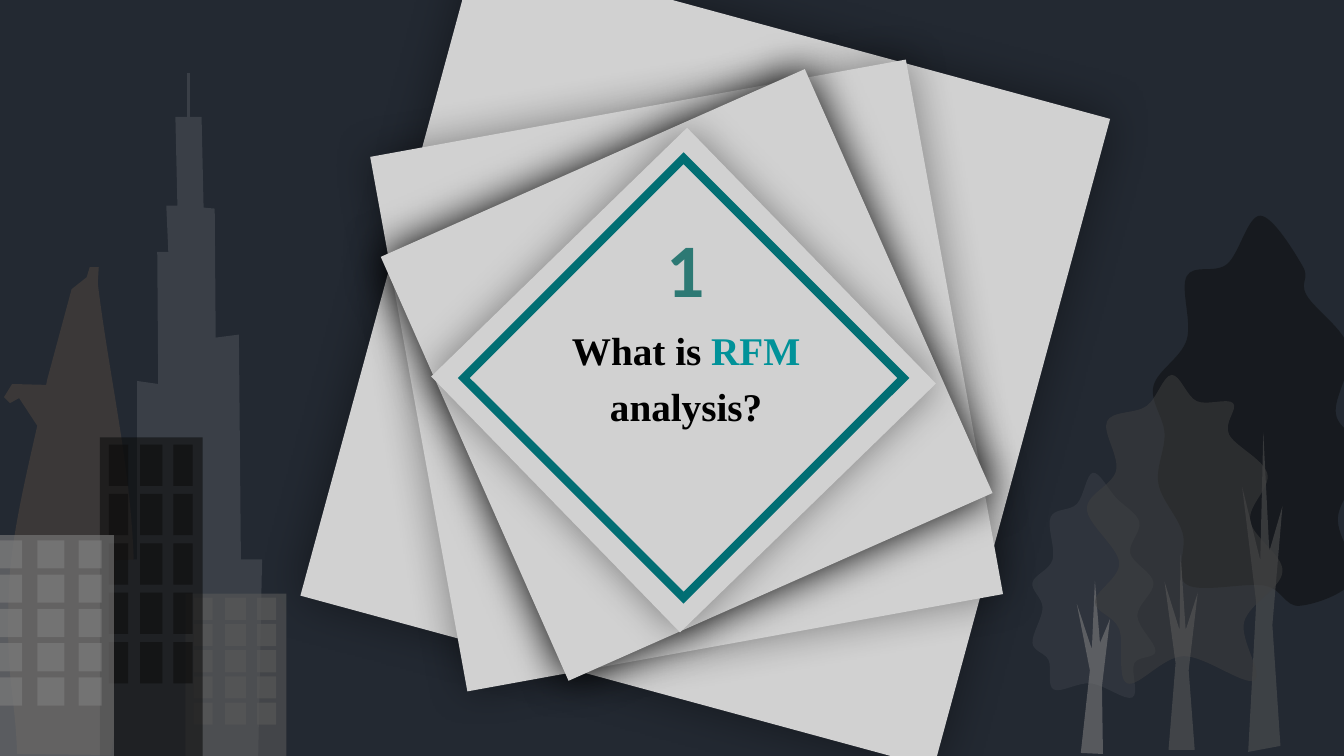
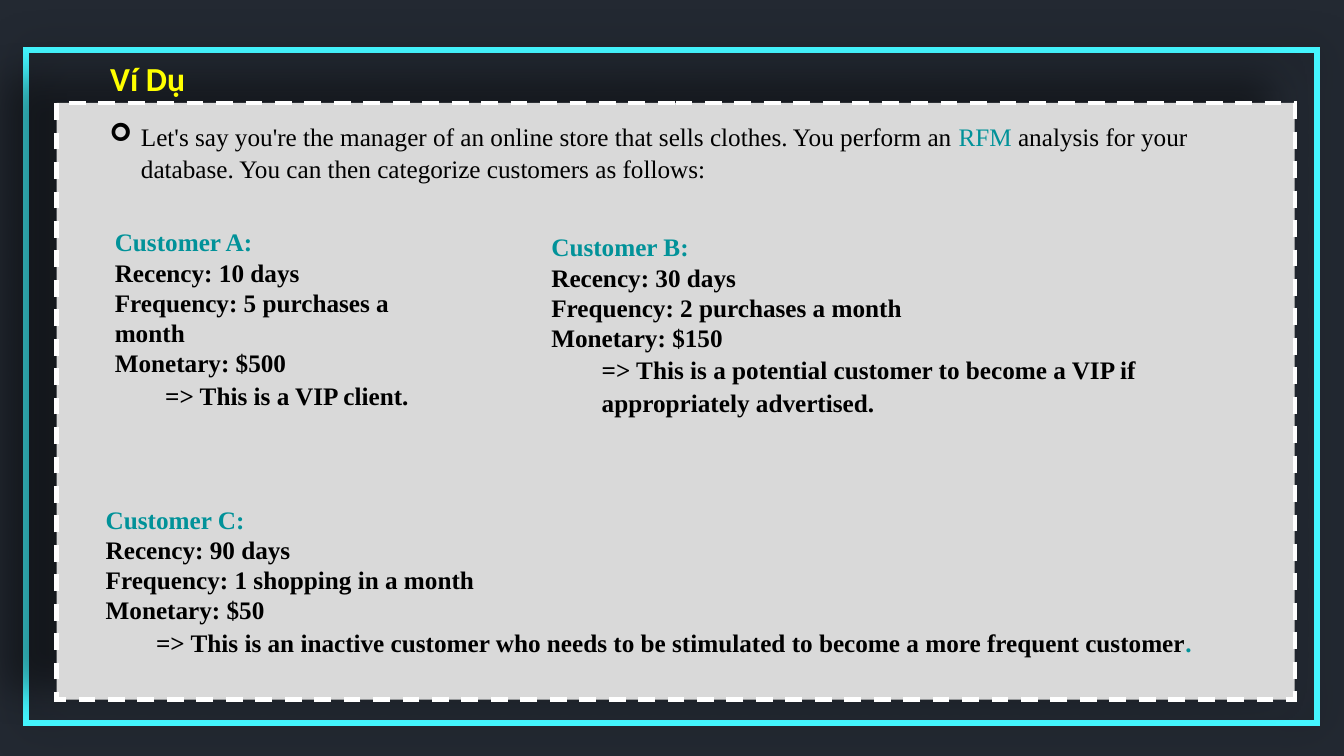
from pptx import Presentation
from pptx.dml.color import RGBColor
from pptx.enum.dml import MSO_LINE
from pptx.enum.shapes import MSO_CONNECTOR, MSO_SHAPE
from pptx.enum.text import PP_ALIGN
from pptx.oxml.ns import qn
from pptx.oxml.xmlchemy import OxmlElement
from pptx.util import Inches, Pt

NAVY, PAPER, PANEL = "232932", "D1D1D1", "D9D9D9"
SLATE, BROWN = "3A3F47", "3B3838"
TEAL, RIM, CYAN = "019299", "016E73", "44F5FE"
BLACK, WHITE, YELLOW = "000000", "FFFFFF", "FFFF00"
SERIF, SANS = "Times New Roman", "Calibri"


def style(sp, fill=None, alpha=100, line=None, width=1, shadow=None, grow=None):
    sp.shadow.inherit = False
    if fill:
        sp.fill.solid()
        sp.fill.fore_color.rgb = RGBColor.from_string(fill)
        if alpha < 100:
            clr = sp.fill._xPr.find(qn("a:solidFill"))[0]
            a = OxmlElement("a:alpha")
            a.set("val", str(alpha * 1000))
            clr.append(a)
    else:
        sp.fill.background()
    if line:
        sp.line.color.rgb = RGBColor.from_string(line)
        sp.line.width = Pt(width)
        miter = OxmlElement("a:miter")
        miter.set("lim", "800000")
        sp.line._get_or_add_ln().append(miter)
    else:
        sp.line.fill.background()
    if shadow:
        opacity, blur = shadow
        shd = OxmlElement("a:outerShdw")
        fmt = {"blurRad": Pt(blur), "dist": 0, "dir": 0, "algn": "ctr", "rotWithShape": 0}
        for k, v in {**fmt, **(grow or {})}.items():
            shd.set(k, str(v))
        clr = OxmlElement("a:srgbClr")
        clr.set("val", BLACK)
        a = OxmlElement("a:alpha")
        a.set("val", str(opacity * 1000))
        clr.append(a)
        shd.append(clr)
        sp._element.spPr.find(qn("a:effectLst")).append(shd)


def write(s, box, paras, name=SERIF, size=18, bold=True):
    tf = s.shapes.add_textbox(*map(Inches, box)).text_frame
    tf.word_wrap = True
    for i, (runs, fmt, margin, hang, bullet) in enumerate(paras):
        p = tf.paragraphs[0] if i == 0 else tf.add_paragraph()
        for k, v in fmt.items():
            setattr(p, k, v)
        pPr = p._p.get_or_add_pPr()
        pPr.set("marL", str(Inches(margin)))
        pPr.set("indent", str(Inches(hang)))
        if bullet:
            for tag, k, v in [("a:buFont", "typeface", "Wingdings"), ("a:buChar", "char", bullet)]:
                bu = OxmlElement(tag)
                bu.set(k, v)
                pPr.append(bu)
        for text, color in runs:
            r = p.add_run()
            r.text = text
            for k, v in {"name": name, "size": Pt(size), "bold": bold}.items():
                setattr(r.font, k, v)
            r.font.color.rgb = RGBColor.from_string(color)


prs = Presentation()
prs.slide_width, prs.slide_height = Inches(13.33), Inches(7.5)
slides = [prs.slides.add_slide(prs.slide_layouts[6]) for _ in range(2)]
for s in slides:
    s.background.fill.solid()
    s.background.fill.fore_color.rgb = RGBColor.from_string(NAVY)
cover, example = slides
centered = {"alignment": PP_ALIGN.CENTER, "line_spacing": 1.2, "space_after": Pt(6)}

squares = [
    (3.74, 0.21, 6.51, 6.67, 15.2, 40, 34),
    (4.11, 1.03, 5.4, 5.39, 349.7, 40, 30),
    (4.51, 1.42, 4.6, 4.6, 66.1, 100, 30),
    (5.01, 2, 3.54, 3.54, 315.8, 40, 28),
]
for *box, angle, opacity, blur in squares:
    sp = cover.shapes.add_shape(MSO_SHAPE.RECTANGLE, *map(Inches, box))
    sp.rotation = angle
    style(sp, PAPER, shadow=(opacity, blur))
sp = cover.shapes.add_shape(MSO_SHAPE.DIAMOND, *map(Inches, (4.6, 1.57, 4.36, 4.36)))
style(sp, line=RIM, width=6)

small_tree = [
    (10.82, 6.78), (10.45, 6.84), (10.4, 6.55), (10.24, 6.38), (10.34, 6.03), (10.24, 5.78),
    (10.44, 5.55), (10.42, 5.13), (10.68, 5), (10.84, 4.69), (11.07, 4.94), (11.3, 5.18),
    (11.21, 5.49), (11.44, 5.78), (11.28, 6.11), (11.46, 6.46), (11.25, 6.58), (11.23, 6.92),
]
tall_tree = [
    (12.54, 5.81), (11.77, 5.8), (11.73, 5.29), (11.49, 4.8), (11.55, 4.3), (11.44, 3.83),
    (11.77, 3.37), (11.77, 2.74), (12.17, 2.62), (12.5, 2.14), (12.92, 2.64), (12.96, 2.93),
    (13.38, 3.46), (13.25, 4.11), (13.55, 4.51), (13.27, 5.13), (13.43, 5.74), (12.89, 6.01),
]
middle_tree = [
    (11.74, 6.51), (11.18, 6.78), (11.1, 6.24), (10.86, 5.97), (11.1, 5.58), (10.78, 5.05),
    (11.07, 4.67), (10.98, 4.18), (11.37, 4.03), (11.62, 3.72), (11.87, 3.98), (12.23, 4),
    (12.19, 4.31), (12.57, 4.7), (12.4, 5.17), (12.72, 5.67), (12.34, 6.17), (12.44, 6.75),
]
small_trunk = [
    (10.72, 7.47), (10.81, 6.65), (10.68, 5.99), (10.83, 6.44), (10.86, 5.76),
    (10.91, 6.38), (11.01, 6.14), (10.93, 6.81), (10.94, 7.48),
]
tall_trunk = [
    (12.38, 7.46), (12.46, 5.98), (12.32, 4.83), (12.5, 5.56), (12.53, 4.29),
    (12.59, 5.47), (12.72, 5.02), (12.62, 6.2), (12.7, 7.4),
]
middle_trunk = [
    (11.59, 7.44), (11.66, 6.58), (11.55, 5.77), (11.7, 6.25), (11.71, 5.49),
    (11.76, 6.25), (11.88, 5.88), (11.79, 6.65), (11.85, 7.44),
]
curved_tower = [
    (0.09, 5.81), (0.05, 6.75, 0.15, 6.85, 0.17, 7.48), (1.1, 7.49),
    (1.18, 6.92, 1.34, 6.35, 1.33, 5.78), (1.33, 4.76, 1.09, 3.8, 0.97, 2.81), (0.98, 2.65),
    (0.89, 2.65), (0.86, 2.75), (0.71, 2.87), (0.47, 3.76), (0.35, 4.37, 0.12, 5.18, 0.09, 5.81),
]
tower_wing = [(0.5, 3.82), (0.12, 3.81), (0.04, 3.94), (0.1, 4), (0.19, 3.95), (0.4, 4.27)]
stepped_tower = [
    (2.6, 5.55), (2.56, 7.56), (1.13, 7.56), (1.14, 5.56), (1.36, 5.55), (1.36, 3.78), (1.57, 3.81),
    (1.56, 2.5), (1.67, 2.5), (1.65, 2.04), (1.76, 2.04), (1.74, 1.16), (2, 1.16), (2.02, 2.06),
    (2.13, 2.07), (2.14, 3.35), (2.37, 3.32), (2.39, 5.55),
]
outlines = [
    (small_tree, SLATE, 54, True),
    (small_trunk, "7F7F7F", 57, False),
    (tall_tree, "0D0D0D", 50, True),
    (tall_trunk, "5C5C5C", 47, False),
    (middle_tree, "404040", 51, True),
    (middle_trunk, "5C5C5C", 54, False),
    (curved_tower, BROWN, 100, False),
    (tower_wing, BROWN, 100, False),
    (stepped_tower, SLATE, 100, False),
]
for pts, color, alpha, smooth in outlines:
    start, *segments = pts
    if smooth:
        segments = []
        for i, p1 in enumerate(pts):
            p0, p2, p3 = pts[i - 1], pts[(i + 1) % len(pts)], pts[(i + 2) % len(pts)]
            leave = [b + (c - a) / 6 for a, b, c in zip(p0, p1, p2)]
            arrive = [c - (d - b) / 6 for b, c, d in zip(p1, p2, p3)]
            segments.append((*leave, *arrive, *p2))
    fb = cover.shapes.build_freeform(*map(Inches, start))
    fb.add_line_segments([(Inches(seg[-2]), Inches(seg[-1])) for seg in segments], close=True)
    sp = fb.convert_to_shape()
    for seg, ln in zip(segments, list(sp._element.iter(qn("a:lnTo")))):
        if len(seg) == 6:
            bez = OxmlElement("a:cubicBezTo")
            for x, y in zip(seg[::2], seg[1::2]):
                pt = OxmlElement("a:pt")
                pt.set("x", str(Inches(x) - sp.left))
                pt.set("y", str(Inches(y) - sp.top))
                bez.append(pt)
            ln.getparent().replace(ln, bez)
    style(sp, color, alpha)

antenna = cover.shapes.add_connector(MSO_CONNECTOR.STRAIGHT, *map(Inches, (1.87, 0.72, 1.87, 1.16)))
antenna.line.color.rgb = RGBColor.from_string(SLATE)
antenna.line.width = Pt(2.25)
antenna._element.spPr.append(OxmlElement("a:effectLst"))

buildings = [
    ((1.84, 5.89, 1, 1.68), "595959", [(0.08, 0.19), (0.39, 0.21), (0.71, 0.19)], 0.04, 0.26, 0.22),
    ((0.99, 4.34, 1.02, 3.18), "0D0D0D", [(0.09, 0.19), (0.4, 0.22), (0.73, 0.19)], 0.07, 0.49, 0.41),
    ((-0.12, 5.31, 1.25, 2.19), "7F7F7F", [(0.11, 0.23), (0.49, 0.27), (0.9, 0.23)], 0.05, 0.34, 0.28),
]
for body, color, columns, top, pitch, height in buildings:
    windows = [
        (body[0] + dx, body[1] + top + row * pitch, w, height)
        for row in range(5) for dx, w in columns
    ]
    for box in [body, *windows]:
        sp = cover.shapes.add_shape(MSO_SHAPE.RECTANGLE, *map(Inches, box))
        style(sp, color, 60)

question = [("What is ", BLACK), ("RFM", TEAL), (" analysis?", BLACK)]
write(cover, (5.33, 3.09, 2.95, 1.18), [(question, centered, 0, 0, None)], size=28)
write(cover, (6.51, 2.15, 0.64, 1.01), [([("1", "2D7974")], {}, 0, 0, None)], SANS, 54)

frame = example.shapes.add_shape(MSO_SHAPE.RECTANGLE, *map(Inches, (3.32, -2.57, 6.68, 12.81)))
frame.rotation = 270
style(frame, line=CYAN, width=4.5, shadow=(40, 30))
panel = example.shapes.add_shape(MSO_SHAPE.RECTANGLE, *map(Inches, (0.56, 1.02, 12.28, 5.92)))
panel.rotation = 180
style(panel, PANEL, line=WHITE, width=3, shadow=(40, 28), grow={"sx": 102000, "sy": 102000, "algn": "br"})
panel.line.dash_style = MSO_LINE.DASH

write(example, (0.3, 0.45, 2.33, 0.55), [([("Ví Dụ", YELLOW)], centered, 0, 0, None)], SANS, 24)
intro = [
    ("Let's say you're the manager of an online store that sells clothes. You perform an ", BLACK),
    ("RFM", TEAL),
    (" analysis for your database. You can then categorize customers as follows:", BLACK),
]
loose = {"line_spacing": 1.07, "space_after": Pt(8)}
write(example, (0.49, 1.13, 12.16, 0.73), [(intro, loose, 0.81, -0.31, "➢")], bold=False)

customers = [
    ((1.04, 2.2, 3.51, 2.03), "A", "10 days", "5 purchases a month", "$500",
     [("=> This is a VIP client.", BLACK)]),
    ((5.37, 2.25, 7.27, 2.03), "B", "30 days", "2 purchases a month", "$150",
     [("=> This is a potential customer to become a VIP if appropriately advertised.", BLACK)]),
    ((0.95, 4.95, 11.57, 1.71), "C", "90 days", "1 shopping in a month", "$50",
     [("=> This is an inactive customer who needs to be stimulated to become a more frequent customer", BLACK),
      (".", TEAL)]),
]
for box, letter, recency, frequency, monetary, verdict in customers:
    facts = [
        (f"Customer {letter}:", TEAL),
        (f"Recency: {recency}", BLACK),
        (f"Frequency: {frequency}", BLACK),
        (f"Monetary: {monetary}", BLACK),
    ]
    paras = [([fact], {}, 0, 0, None) for fact in facts]
    write(example, box, paras + [(verdict, loose, 0.5, 0, None)])

prs.save("out.pptx")
